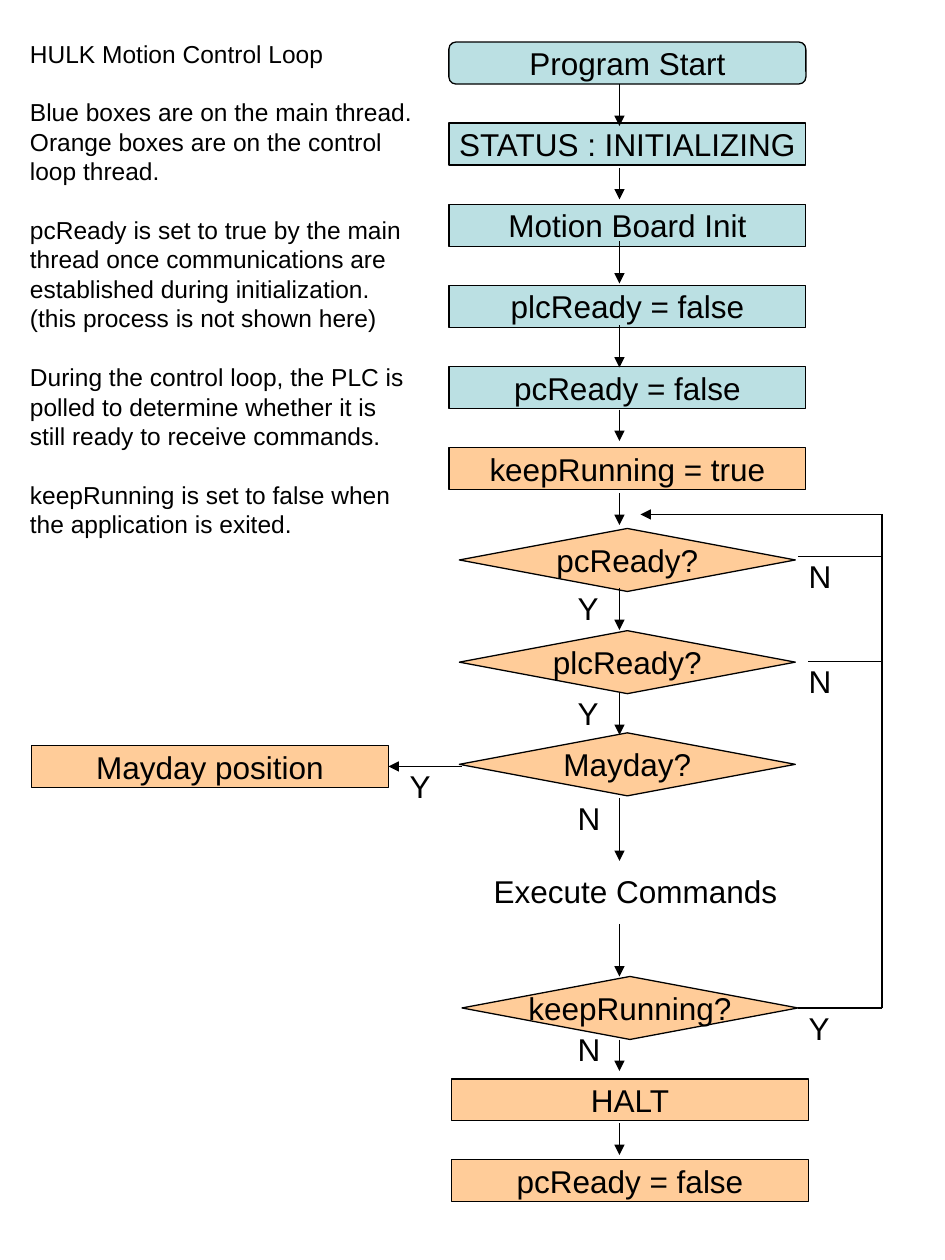
from lxml import etree
from pptx import Presentation
from pptx.dml.color import RGBColor
from pptx.enum.shapes import MSO_CONNECTOR, MSO_SHAPE
from pptx.enum.text import MSO_ANCHOR, MSO_AUTO_SIZE, PP_ALIGN
from pptx.oxml.ns import qn
from pptx.util import Emu, Pt

RECT, ROUNDED, DIAMOND = MSO_SHAPE.RECTANGLE, MSO_SHAPE.ROUNDED_RECTANGLE, MSO_SHAPE.DIAMOND
STRAIGHT = MSO_CONNECTOR.STRAIGHT
MIDDLE, FIT = MSO_ANCHOR.MIDDLE, MSO_AUTO_SIZE.SHAPE_TO_FIT_TEXT
LEFT, CENTER = PP_ALIGN.LEFT, PP_ALIGN.CENTER

BLUE, ORANGE, BLACK = "BBE0E3", "FFCC99", "000000"
FONT = "Arial"
PX = 6350
SLIDE_W, SLIDE_H = 1080, 1440
STEP_SIZE = (408, 48)
DECISION_SIZE = (384, 72)
MAIN_X, END_X, MAYDAY_X = 717, 720, 240
FLOW_X, RETURN_X = 708, 1008

NOTES = [
    ["HULK Motion Control Loop"],
    ["Blue boxes are on the main thread.",
     "Orange boxes are on the control",
     "loop thread."],
    ["pcReady is set to true by the main",
     "thread once communications are",
     "established during initialization.",
     "(this process is not shown here)"],
    ["During the control loop, the PLC is",
     "polled to determine whether it is",
     "still ready to receive commands."],
    ["keepRunning is set to false when",
     "the application is exited."],
]
NOTES_BOX = (20, 37, 474, 586)

SETUP_TOP, SETUP_PITCH = 48, 92.7
SETUP = [
    ("Program Start", ROUNDED, BLUE),
    ("STATUS : INITIALIZING", RECT, BLUE),
    ("Motion Board Init", RECT, BLUE),
    ("plcReady = false", RECT, BLUE),
    ("pcReady = false", RECT, BLUE),
    ("keepRunning = true", RECT, ORANGE),
]
CHECKS_TOP, CHECKS_PITCH = 604, 116.8
CHECKS = ["pcReady?", "plcReady?", "Mayday?"]
ENDING = [
    ("keepRunning?", DIAMOND, END_X, 1116),
    ("HALT", RECT, END_X, 1233),
    ("pcReady = false", RECT, END_X, 1325),
    ("Mayday position", RECT, MAYDAY_X, 852),
]

FLOW_ARROWS = [(96, 144), (192, 228), (276, 324), (372, 420), (468, 504), (564, 600),
               (672, 720), (792, 840), (912, 984), (1056, 1116), (1188, 1224), (1284, 1320)]
SIDE_ARROWS = [(RETURN_X, 588, 732, 588), (528, 876, 444, 876)]
RETURN_LINES = [
    (912, 636, RETURN_X, 636),
    (RETURN_X, 636, RETURN_X, 588),
    (924, 756, RETURN_X, 756),
    (RETURN_X, 756, RETURN_X, 636),
    (RETURN_X, 744, RETURN_X, 1152),
    (RETURN_X, 1152, 912, 1152),
]

DOWN_X, RIGHT_X, MAYDAY_LABEL_X = 646, 910, 454
LABEL_SIZE = {"Y": (52, 58), "N": (55, 58)}
LABELS = [
    ("Y", DOWN_X, 666), ("N", RIGHT_X, 629),
    ("Y", DOWN_X, 786), ("N", RIGHT_X, 750),
    ("N", DOWN_X, 906), ("Y", MAYDAY_LABEL_X, 870),
    ("Y", RIGHT_X, 1146), ("N", DOWN_X, 1170),
]
EXECUTE_BOX = (550, 989, 353, 58)


def px(*lengths):
    return [Emu(round(length * PX)) for length in lengths]


def color(code):
    return RGBColor.from_string(code)


def write(frame, blocks, size, align, wrap=False):
    frame.word_wrap = wrap
    lines = [(line, i > 0 and j == 0)
             for i, block in enumerate(blocks) for j, line in enumerate(block)]
    frame.text = "\n".join(line for line, _ in lines)
    for paragraph, (_, starts_block) in zip(frame.paragraphs, lines):
        paragraph.alignment = align
        paragraph.line_spacing = Pt(size * 1.2)
        if starts_block:
            paragraph.space_before = Pt(size * 1.2)
        for run in paragraph.runs:
            run.font.name = FONT
            run.font.size = Pt(size)
            run.font.color.rgb = color(BLACK)


def add_step(slide, label, kind, fill, center_x, top):
    width, height = DECISION_SIZE if kind == DIAMOND else STEP_SIZE
    step = slide.shapes.add_shape(kind, *px(center_x - width / 2, top, width, height))
    step.shadow.inherit = False
    step.fill.solid()
    step.fill.fore_color.rgb = color(fill)
    step.line.color.rgb = color(BLACK)
    step.line.width = Pt(0.75)
    step.text_frame.vertical_anchor = MIDDLE
    write(step.text_frame, [[label]], 18, CENTER)


def add_line(slide, ends, arrow):
    line = slide.shapes.add_connector(STRAIGHT, *px(*ends))
    line.line.color.rgb = color(BLACK)
    line.line.width = Pt(0.75)
    if arrow:
        etree.SubElement(line.line._get_or_add_ln(), qn("a:tailEnd"), type="triangle")
    etree.SubElement(line._element.spPr, qn("a:effectLst"))


def add_text(slide, blocks, box, size, wrap=False):
    frame = slide.shapes.add_textbox(*px(*box)).text_frame
    write(frame, blocks, size, LEFT, wrap)
    frame.auto_size = FIT


def main():
    deck = Presentation()
    deck.slide_width, deck.slide_height = px(SLIDE_W, SLIDE_H)
    slide = deck.slides.add_slide(deck.slide_layouts[6])

    for i, (label, kind, fill) in enumerate(SETUP):
        add_step(slide, label, kind, fill, MAIN_X, SETUP_TOP + i * SETUP_PITCH)
    for i, label in enumerate(CHECKS):
        add_step(slide, label, DIAMOND, ORANGE, MAIN_X, CHECKS_TOP + i * CHECKS_PITCH)
    for label, kind, center_x, top in ENDING:
        add_step(slide, label, kind, ORANGE, center_x, top)

    for start, end in FLOW_ARROWS:
        add_line(slide, (FLOW_X, start, FLOW_X, end), True)
    for ends in SIDE_ARROWS:
        add_line(slide, ends, True)
    for ends in RETURN_LINES:
        add_line(slide, ends, False)

    add_text(slide, [["Execute Commands"]], EXECUTE_BOX, 18)
    for label, left, top in LABELS:
        add_text(slide, [[label]], (left, top, *LABEL_SIZE[label]), 18)
    add_text(slide, NOTES, NOTES_BOX, 14, wrap=True)
    deck.save("out.pptx")


if __name__ == "__main__":
    main()
